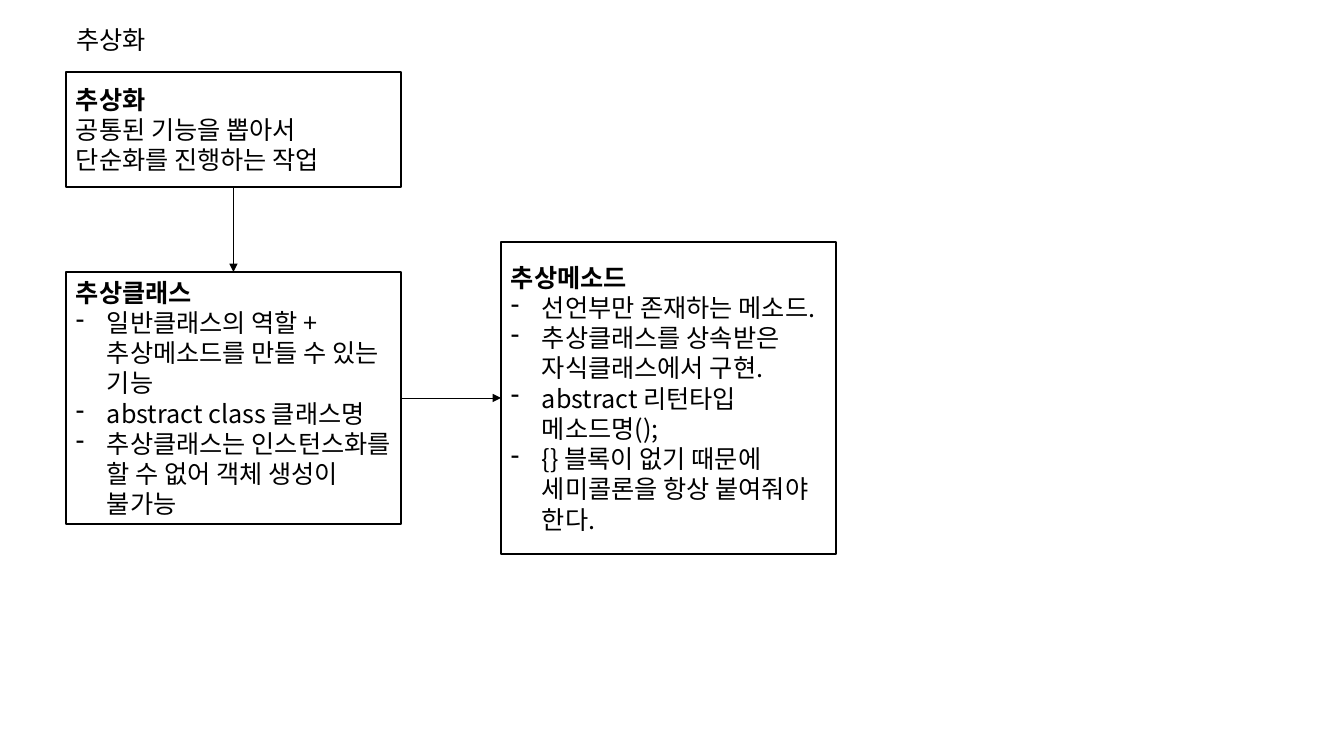
from dataclasses import dataclass

from lxml import etree
from pptx import Presentation, util as u
from pptx.dml.color import RGBColor
from pptx.enum import shapes, text
from pptx.oxml.ns import qn

PIXEL = u.Inches(1) / 100.8
TOP, LEFT, BOTTOM, RIGHT = range(4)


@dataclass(frozen=True)
class Theme:
    """Colours, font and sizes of the page."""
    ink: RGBColor = RGBColor(0, 0, 0)
    font: str = "Noto Sans CJK KR"
    size: u.Pt = u.Pt(18)
    border: u.Pt = u.Pt(1)
    arrow: u.Pt = u.Pt(0.5)
    indent: int = 31


THEME = Theme()


def px(length):
    """Turn pixels into EMU."""
    return u.Emu(round(length * PIXEL))


def apply(target, values):
    """Set attributes from a dict of format values."""
    for name, value in values.items():
        setattr(target, name, value)


def place(shape, left, top, width, height):
    """Move and size a shape, in pixels."""
    apply(shape, {"left": px(left), "top": px(top),
                  "width": px(width), "height": px(height)})


def write(para, words, bold=False):
    """Add left-aligned words to a paragraph in the theme font."""
    apply(para, {"alignment": text.PP_ALIGN.LEFT, "line_spacing": 1.0})
    span = para.add_run()
    span.text = words
    apply(span.font, {"name": THEME.font, "size": THEME.size, "bold": bold})
    span.font.color.rgb = THEME.ink
    etree.SubElement(span.font._element, qn("a:ea"), typeface=THEME.font)


def add_dash(para):
    """Give a paragraph a dash bullet with a hanging indent."""
    props = para._p.get_or_add_pPr()
    props.set("marL", str(px(THEME.indent)))
    props.set("indent", str(-px(THEME.indent)))
    etree.SubElement(props, qn("a:buChar"), char="-")


def add_title(page, words, *area):
    """Fill the title placeholder and move it."""
    title = page.shapes.title
    place(title, *area)
    apply(title.text_frame, {"word_wrap": False,
                             "auto_size": text.MSO_AUTO_SIZE.SHAPE_TO_FIT_TEXT,
                             "vertical_anchor": text.MSO_ANCHOR.TOP})
    write(title.text_frame.paragraphs[0], words)


def add_concept(page, area, heading, lines, dashed=True):
    """Add an outlined box with a bold heading above its lines."""
    box = page.shapes.add_shape(shapes.MSO_SHAPE.RECTANGLE, 0, 0, 0, 0)
    place(box, *area)
    box.shadow.inherit = False
    box.fill.background()
    box.line.color.rgb = THEME.ink
    box.line.width = THEME.border
    frame = box.text_frame
    apply(frame, {"word_wrap": True, "vertical_anchor": text.MSO_ANCHOR.MIDDLE})
    write(frame.paragraphs[0], heading, bold=True)
    for line in lines:
        para = frame.add_paragraph()
        write(para, line)
        if dashed:
            add_dash(para)
    return box


def add_arrow(page, start, start_site, end, end_site):
    """Join two boxes with an arrow glued to their sides."""
    arrow = page.shapes.add_connector(shapes.MSO_CONNECTOR.STRAIGHT, 0, 0, 0, 0)
    arrow.begin_connect(start, start_site)
    arrow.end_connect(end, end_site)
    arrow.line.color.rgb = THEME.ink
    arrow.line.width = THEME.arrow
    etree.SubElement(arrow.line._get_or_add_ln(), qn("a:tailEnd"), type="triangle")
    etree.SubElement(arrow._element.spPr, qn("a:effectLst"))


def main():
    """Build the page on abstraction."""
    deck = Presentation()
    apply(deck, {"slide_width": px(1344), "slide_height": px(756)})
    page = deck.slides.add_slide(deck.slide_layouts[5])
    left, right, width = 66, 501, 335

    add_title(page, "추상화", left, 19, 97, 40)
    abstraction = add_concept(
        page, (left, 72, width, 115), "추상화",
        ["공통된 기능을 뽑아서 단순화를 진행하는 작업"], dashed=False)
    abstract_class = add_concept(
        page, (left, 272, width, 252), "추상클래스",
        ["일반클래스의 역할 + 추상메소드를 만들 수 있는 기능",
         "abstract class 클래스명",
         "추상클래스는 인스턴스화를 할 수 없어 객체 생성이 불가능"])
    abstract_method = add_concept(
        page, (right, 242, width, 312), "추상메소드",
        ["선언부만 존재하는 메소드.",
         "추상클래스를 상속받은 자식클래스에서 구현.",
         "abstract 리턴타입 메소드명();",
         "{} 블록이 없기 때문에 세미콜론을 항상 붙여줘야 한다."])
    add_arrow(page, abstraction, BOTTOM, abstract_class, TOP)
    add_arrow(page, abstract_class, RIGHT, abstract_method, LEFT)
    deck.save("out.pptx")


if __name__ == "__main__":
    main()
